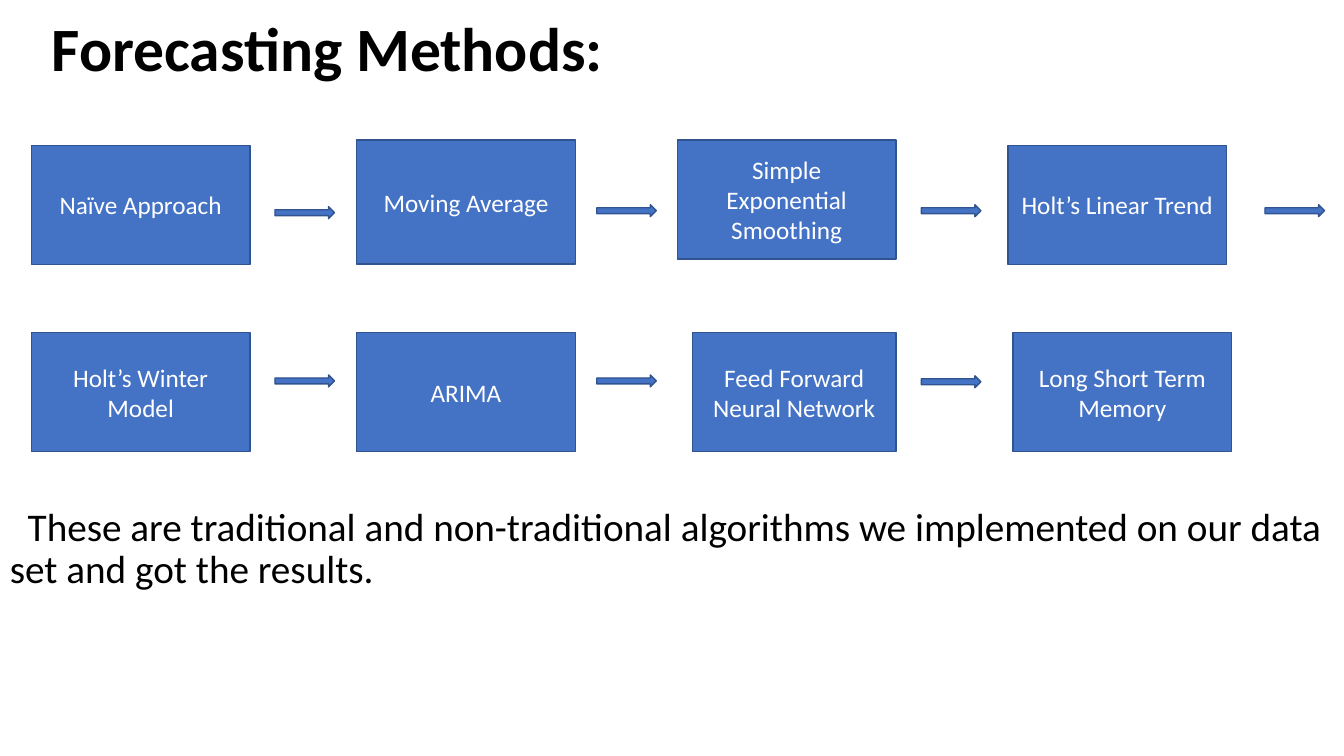
from pptx import Presentation
from pptx.dml.color import RGBColor
from pptx.enum.shapes import MSO_SHAPE
from pptx.enum.text import MSO_ANCHOR, PP_ALIGN
from pptx.util import Cm, Pt

BLUE = RGBColor(0x44, 0x72, 0xC4)
NAVY = RGBColor(0x31, 0x53, 0x8F)
WHITE = RGBColor(0xFF, 0xFF, 0xFF)
BLACK = RGBColor(0, 0, 0)

TITLE = {"size": Pt(44), "bold": True}
NOTE = {"size": Pt(28), "bold": False}
LABEL = {"size": Pt(18), "bold": False}


def write(shape, text, style, color, align, anchor):
    frame = shape.text_frame
    frame.word_wrap = True
    frame.vertical_anchor = anchor
    para = frame.paragraphs[0]
    para.text = text
    para.alignment = align
    para.font.name = "Calibri"
    para.font.color.rgb = color
    for key, value in style.items():
        setattr(para.font, key, value)
    return para


def block(kind, left, top, width, height):
    shape = slide.shapes.add_shape(kind, Cm(left), Cm(top), Cm(width), Cm(height))
    shape.shadow.inherit = False
    shape.fill.solid()
    shape.fill.fore_color.rgb = BLUE
    shape.line.color.rgb = NAVY
    shape.line.width = Pt(1)
    return shape


deck = Presentation()
deck.slide_width, deck.slide_height = Cm(33.87), Cm(19.05)
slide = deck.slides.add_slide(deck.slide_layouts[6])

# Title
title = slide.shapes.add_textbox(Cm(1.05), Cm(0), Cm(32.8), Cm(2.62))
para = write(title, "Forecasting Methods:", TITLE, BLACK, PP_ALIGN.LEFT, MSO_ANCHOR.MIDDLE)
para.line_spacing = 0.9

# Methods: label, left, top, width, height
methods = [
    ("Naïve Approach", 0.79, 3.66, 5.51, 3),
    ("Moving Average", 8.99, 3.53, 5.51, 3.12),
    ("Simple\vExponential Smoothing", 17.07, 3.53, 5.51, 3),
    ("Holt’s Linear Trend", 25.4, 3.66, 5.51, 3),
    ("Holt’s Winter Model", 0.79, 8.38, 5.51, 3),
    ("ARIMA", 8.99, 8.38, 5.51, 3),
    ("Feed Forward Neural Network", 17.45, 8.38, 5.13, 3),
    ("Long Short Term Memory", 25.53, 8.38, 5.51, 3),
]
for label, *area in methods:
    box = block(MSO_SHAPE.RECTANGLE, *area)
    write(box, label, LABEL, WHITE, PP_ALIGN.CENTER, MSO_ANCHOR.MIDDLE)

# Arrows: left, top
arrows = [
    (6.93, 5.21), (15.04, 5.16), (23.22, 5.16), (31.88, 5.16),
    (6.93, 9.45), (15.04, 9.45), (23.22, 9.47),
]
for left, top in arrows:
    block(MSO_SHAPE.RIGHT_ARROW, left, top, 1.5, 0.3)

# Closing note with a first-line indent
note = slide.shapes.add_textbox(Cm(0), Cm(12.67), Cm(33.87), Cm(2.6))
text = ("These are traditional and non-traditional algorithms "
        "we implemented on our data set and got the results.")
para = write(note, text, NOTE, BLACK, PP_ALIGN.LEFT, MSO_ANCHOR.TOP)
para.line_spacing = 0.9
para._p.get_or_add_pPr().set("indent", str(Cm(0.45)))

deck.save("out.pptx")
